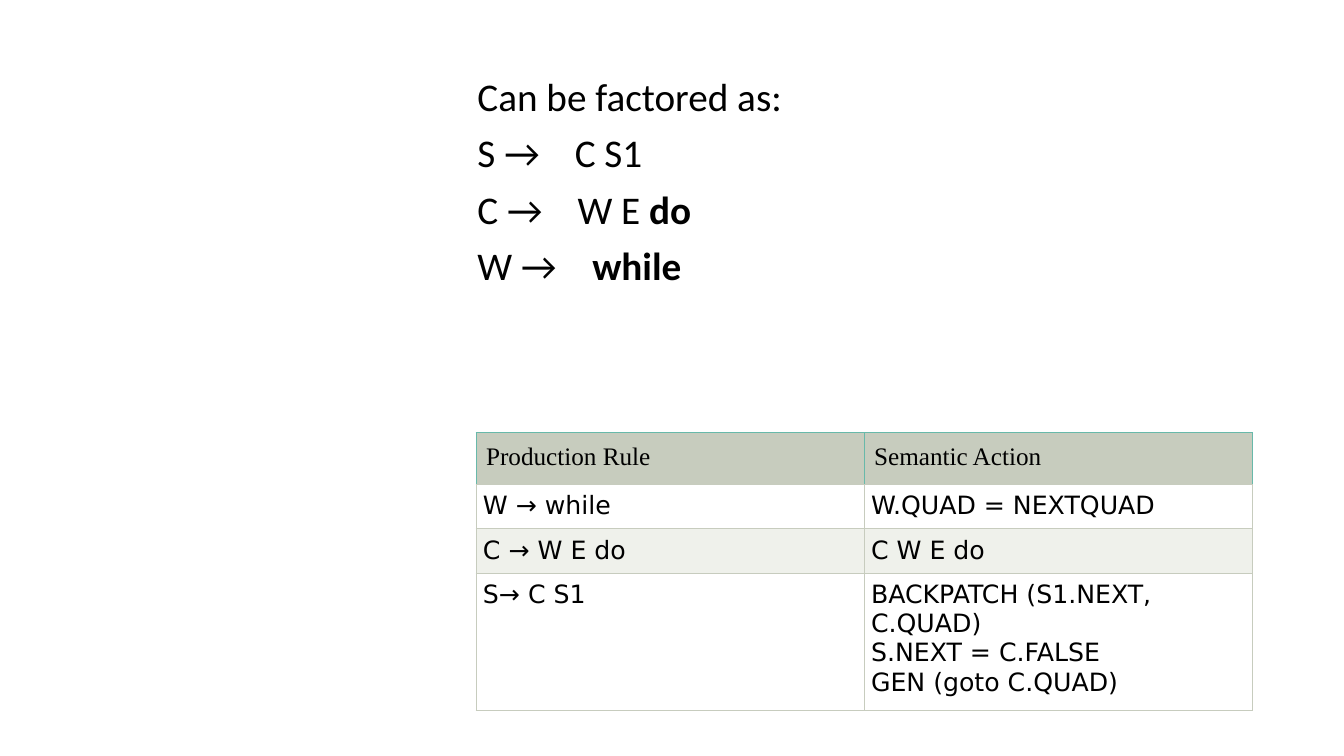
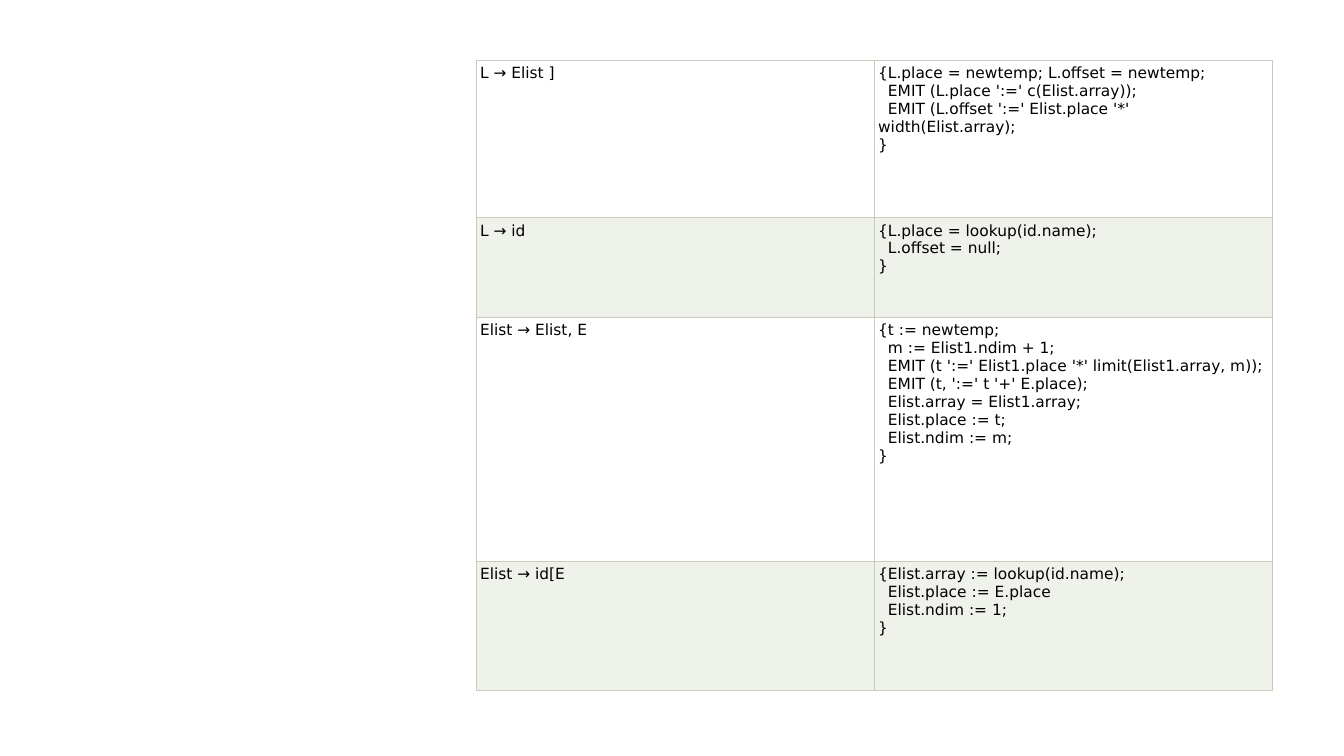
from lxml import etree
from pptx import Presentation
from pptx.dml.color import RGBColor
from pptx.oxml.ns import qn
from pptx.util import Pt

COLORS = {
    "text": "000000",
    "sage": "C7CCBE",
    "teal": "68B9AA",
    "white": "FFFFFF",
    "band": "EFF1EB",
}
BODY_FONT, HEADER_FONT, CODE_FONT = "Calibri", "Times New Roman", "DejaVu Sans"
BLANK_LAYOUT = 6
TABLE_LEFT = 340
BORDER_WIDTH = 0.6
CODE_INDENT = 7

GRAMMAR = [
    ([("Can be factored as:", False)], None),
    ([("S →\tC S1", False)], 69.5),
    ([("C →\tW E ", False), ("do", True)], 71.5),
    ([("W →\t", False), ("while", True)], 82),
]

WHILE_HEADER = ("Production Rule", "Semantic Action")
WHILE_RULES = [
    ("W → while", "W.QUAD = NEXTQUAD"),
    ("C → W E do", "C W E do"),
    ("S→ C S1", "BACKPATCH (S1.NEXT, C.QUAD)\nS.NEXT = C.FALSE\nGEN (goto C.QUAD)"),
]

ARRAY_RULES = [
    ("L → Elist ]", """{L.place = newtemp; L.offset = newtemp;
\tEMIT (L.place ':=' c(Elist.array));
\tEMIT (L.offset ':=' Elist.place '*' width(Elist.array);
}"""),
    ("L → id", """{L.place = lookup(id.name);
\tL.offset = null;
}"""),
    ("Elist → Elist, E", """{t := newtemp;
\tm := Elist1.ndim + 1;
\tEMIT (t ':=' Elist1.place '*' limit(Elist1.array, m));
\tEMIT (t, ':=' t '+' E.place);
\tElist.array = Elist1.array;
\tElist.place := t;
\tElist.ndim := m;
}"""),
    ("Elist → id[E", """{Elist.array := lookup(id.name);
\tElist.place := E.place
\tElist.ndim := 1;
}"""),
]


class Deck:
    def __init__(self):
        self.presentation = Presentation()
        self.presentation.slide_width = Pt(960)
        self.presentation.slide_height = Pt(540)
        self.slide = None

    def add_slide(self):
        layout = self.presentation.slide_layouts[BLANK_LAYOUT]
        self.slide = self.presentation.slides.add_slide(layout)

    def style(self, paragraph, font_name, size):
        paragraph.font.name = font_name
        paragraph.font.size = Pt(size)
        paragraph.font.color.rgb = RGBColor.from_string(COLORS["text"])

    def add_body(self, left, top, width, height, lines):
        shape = self.slide.shapes.add_textbox(Pt(left), Pt(top), Pt(width), Pt(height))
        frame = shape.text_frame
        frame.word_wrap = True
        for index, (runs, tab_stop) in enumerate(lines):
            paragraph = frame.add_paragraph() if index else frame.paragraphs[0]
            paragraph.line_spacing = 0.9
            paragraph.space_before = Pt(10)
            if tab_stop:
                properties = paragraph._p.get_or_add_pPr()
                tabs = etree.SubElement(properties, qn("a:tabLst"))
                etree.SubElement(tabs, qn("a:tab"), pos=str(Pt(tab_stop)), algn="l")
            self.style(paragraph, BODY_FONT, 28)
            for text, bold in runs:
                run = paragraph.add_run()
                run.text = text
                if bold:
                    run.font.bold = True

    def add_table(self, top, column_width, row_heights, rules, size, inset, header=None):
        rows = ([header] if header else []) + rules
        shape = self.slide.shapes.add_table(
            len(rows), 2, Pt(TABLE_LEFT), Pt(top), Pt(2 * column_width), Pt(sum(row_heights))
        )
        table = shape.table
        table.first_row = table.horz_banding = False
        for column in table.columns:
            column.width = Pt(column_width)
        for index, (row, height, texts) in enumerate(zip(table.rows, row_heights, rows)):
            row.height = Pt(height)
            is_header = header is not None and index == 0
            rule_index = index - 1 if header else index
            for cell, text in zip(row.cells, texts):
                if is_header:
                    self.fill_cell(cell, text, HEADER_FONT, size, 7.2, "sage", "teal")
                else:
                    fill = "band" if rule_index % 2 else "white"
                    self.fill_cell(cell, text, CODE_FONT, size, inset, fill, "sage")

    def fill_cell(self, cell, text, font_name, size, inset, fill, border):
        cell.margin_left = cell.margin_right = Pt(inset)
        cell.margin_top = cell.margin_bottom = Pt(inset)
        for side, color in (("L", border), ("R", border), ("T", border), ("B", "sage")):
            self.add_border(cell, side, color)
        cell.fill.solid()
        cell.fill.fore_color.rgb = RGBColor.from_string(COLORS[fill])
        frame = cell.text_frame
        for index, line in enumerate(text.split("\n")):
            paragraph = frame.add_paragraph() if index else frame.paragraphs[0]
            paragraph.text = line.lstrip("\t")
            if line.startswith("\t"):
                properties = paragraph._p.get_or_add_pPr()
                properties.set("marL", "0")
                properties.set("indent", str(Pt(CODE_INDENT)))
            self.style(paragraph, font_name, size)

    def add_border(self, cell, side, color):
        properties = cell._tc.get_or_add_tcPr()
        line = etree.SubElement(properties, qn("a:ln" + side), w=str(Pt(BORDER_WIDTH)))
        solid = etree.SubElement(line, qn("a:solidFill"))
        etree.SubElement(solid, qn("a:srgbClr"), val=COLORS[color])


def main():
    deck = Deck()
    deck.add_slide()
    deck.add_body(334, 52, 560, 243, GRAMMAR)
    deck.add_table(309, 277.2, [37, 31.7, 31.7, 98], WHILE_RULES, 18, 5, WHILE_HEADER)
    deck.add_slide()
    deck.add_table(43.2, 284.4, [112.3, 71.3, 174.2, 92.2], ARRAY_RULES, 11, 2.9)
    deck.presentation.save("out.pptx")


if __name__ == "__main__":
    main()
